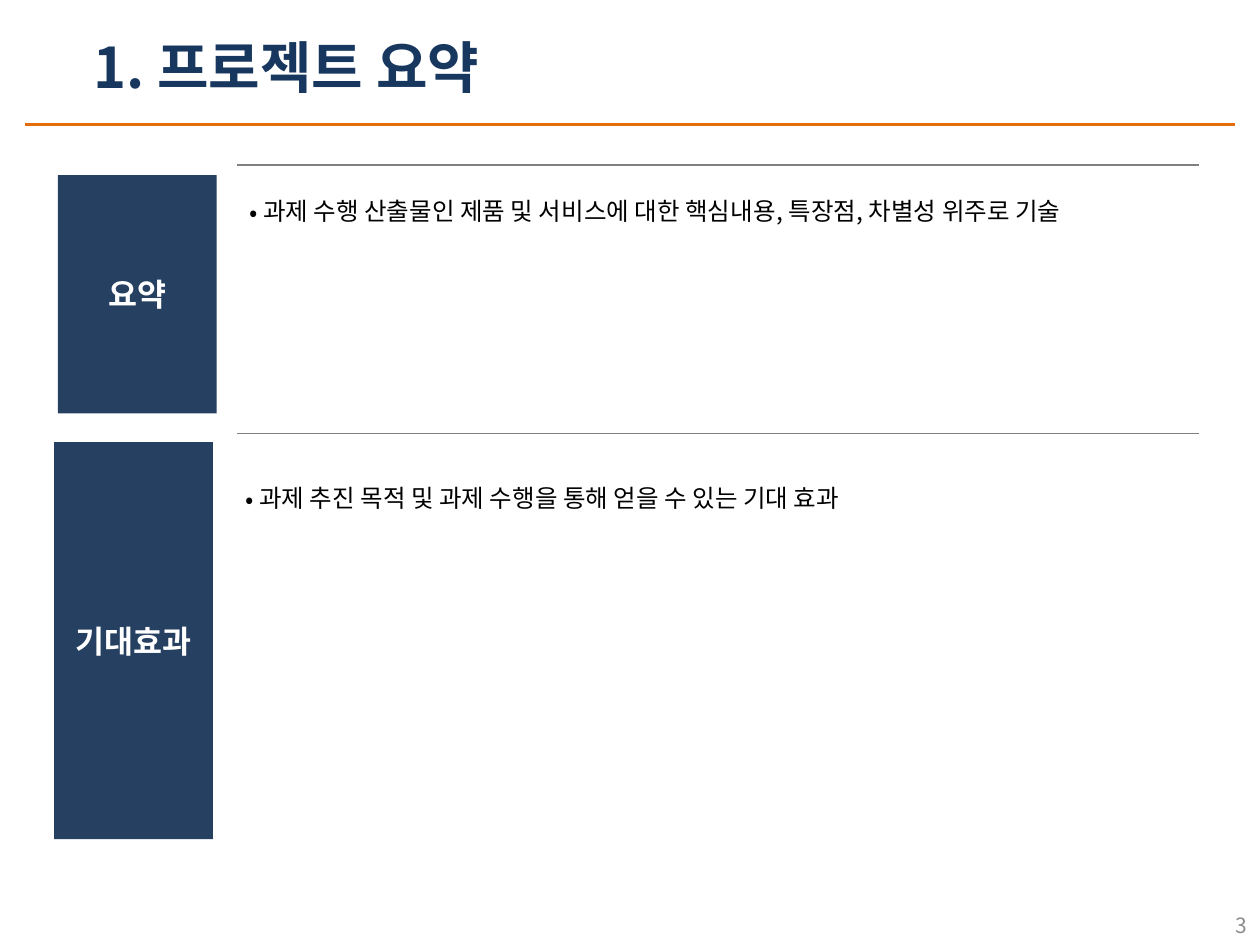
from pptx import Presentation
from pptx.dml.color import RGBColor
from pptx.enum.shapes import MSO_CONNECTOR, MSO_SHAPE
from pptx.enum.text import MSO_ANCHOR as Anchor, MSO_AUTO_SIZE as AutoSize, PP_ALIGN as Align
from pptx.oxml.ns import qn
from pptx.util import Inches, Pt
from lxml.etree import SubElement

# Content
TITLE = "1. 프로젝트 요약"
PAGE_NUMBER = "3"
# label, label box (left, top, height), bullet text, bullet top, rule height
SECTIONS = [
    ("요약", (0.46, 1.39, 1.89),
     "과제 수행 산출물인 제품 및 서비스에 대한 핵심내용, 특장점, 차별성 위주로 기술", 1.39, 1.31),
    ("기대효과", (0.43, 3.51, 3.15),
     "과제 추진 목적 및 과제 수행을 통해 얻을 수 있는 기대 효과", 3.67, 3.44),
]

# Style
FONT = "Noto Sans CJK KR"
NAVY, TITLE_BLUE, ORANGE = "254061", "17375E", "E46C0A"
WHITE, BLACK, GRAY, PALE = "FFFFFF", "000000", "808080", "8C8C8C"
LABEL_WIDTH = 1.26
BULLET_OFFSET = 1.42  # from the left of a label to its bullet text
BULLET_INDENT = 0.11


def color(value):
    return RGBColor.from_string(value)


def write(shape, text, size, fill, bold=False, align=Align.LEFT, anchor=Anchor.TOP,
          wrap=True, grow=False, spacing=1.0, bullet=False):
    frame = shape.text_frame
    frame.word_wrap = wrap
    frame.vertical_anchor = anchor
    frame.auto_size = AutoSize.SHAPE_TO_FIT_TEXT if grow else AutoSize.NONE
    para = frame.paragraphs[0]
    para.alignment = align
    para.line_spacing = spacing
    para.space_before = Pt(0)
    if bullet:
        props = para._p.get_or_add_pPr()
        props.set("marL", str(Inches(BULLET_INDENT)))
        props.set("indent", str(-Inches(BULLET_INDENT)))
        SubElement(props, qn("a:buFont"), typeface=FONT)
        SubElement(props, qn("a:buChar"), char="•")
    span = para.add_run()
    span.text = text
    span.font.name = FONT
    span.font.size = Pt(size)
    span.font.bold = bold
    span.font.color.rgb = color(fill)
    # Korean characters take the East Asian font
    SubElement(span.font._element, qn("a:ea"), typeface=FONT)


def text_box(slide, left, top, width, height, text, **style):
    box = slide.shapes.add_textbox(*map(Inches, (left, top, width, height)))
    write(box, text, **style)


def rule(slide, left, right, y, stroke, weight):
    line = slide.shapes.add_connector(MSO_CONNECTOR.STRAIGHT,
                                      *map(Inches, (left, y, right, y)))
    line.line.color.rgb = color(stroke)
    line.line.width = Pt(weight)
    SubElement(line._element.spPr, qn("a:effectLst"))


def main():
    deck = Presentation()
    deck.slide_width, deck.slide_height = Inches(10), Inches(7.5)
    slide = deck.slides.add_slide(deck.slide_layouts[5])

    # Heading
    rule(slide, 0.2, 9.8, 0.99, ORANGE, 1.5)
    title = slide.shapes.title
    title.left, title.top, title.width, title.height = map(Inches, (0.64, 0.21, 3.59, 0.64))
    write(title, TITLE, size=32, fill=TITLE_BLUE, bold=True, wrap=False, grow=True)

    # Sections: label on the left, rule and bullet on the right
    for label, (left, top, height), bullet, bullet_top, rule_y in SECTIONS:
        box = slide.shapes.add_shape(MSO_SHAPE.RECTANGLE,
                                     *map(Inches, (left, top, LABEL_WIDTH, height)))
        box.shadow.inherit = False
        box.fill.solid()
        box.fill.fore_color.rgb = color(NAVY)
        box.line.fill.background()
        write(box, label, size=18, fill=WHITE, bold=True,
              align=Align.CENTER, anchor=Anchor.MIDDLE)
        text_box(slide, left + BULLET_OFFSET, bullet_top, 7.91, 0.45, bullet,
                 size=14, fill=BLACK, spacing=1.5, grow=True, bullet=True)
        rule(slide, 1.88, 9.52, rule_y, GRAY, 1)

    # Page number
    text_box(slide, 7.67, 7.21, 2.33, 0.27, PAGE_NUMBER, size=12, fill=PALE,
             align=Align.RIGHT, anchor=Anchor.MIDDLE)

    deck.save("out.pptx")


if __name__ == "__main__":
    main()
